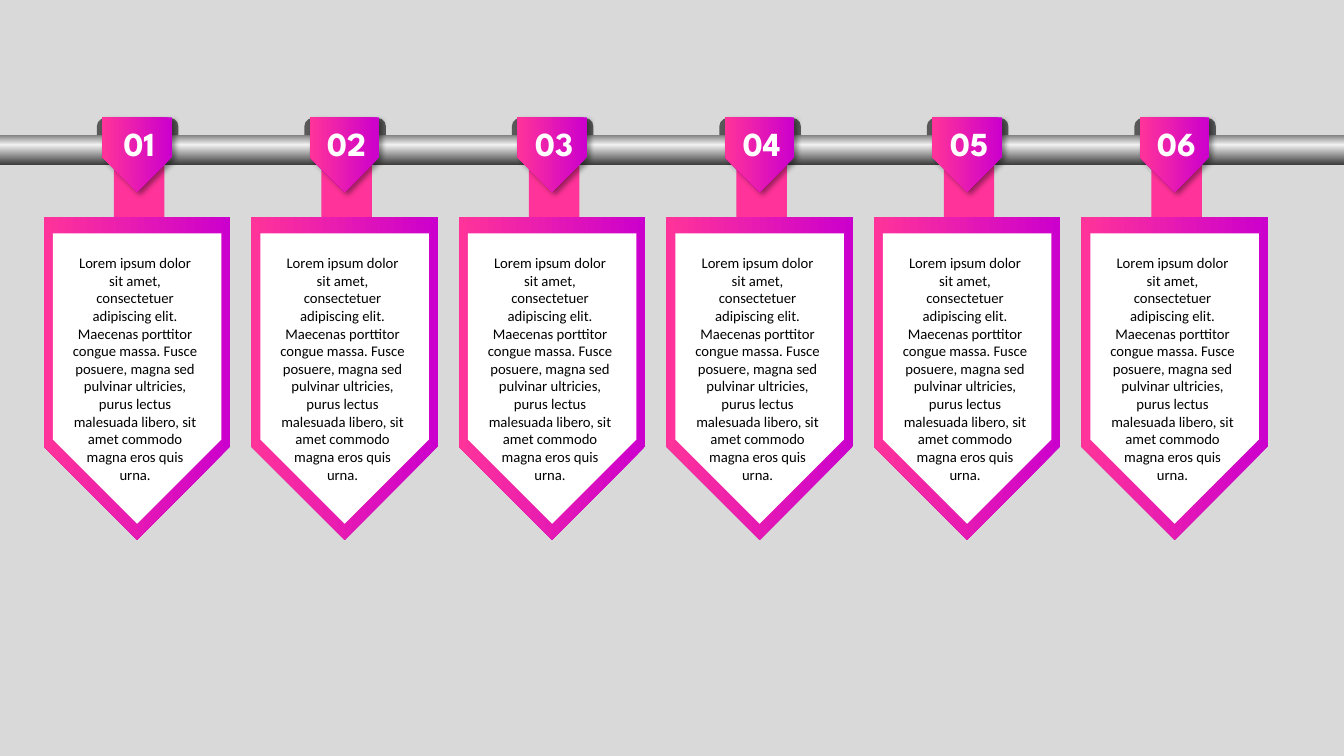
"""Build a slide of six numbered banners hanging from a metal rail."""
from dataclasses import dataclass
from typing import Any

from lxml import etree
from pptx import Presentation
from pptx import util as u
from pptx.dml.color import RGBColor
from pptx.enum import shapes, text
from pptx.oxml import ns

BACKDROP = RGBColor(0xD9, 0xD9, 0xD9)
CLIP_GREY = RGBColor(0x59, 0x59, 0x59)
PINK = RGBColor(0xFF, 0x33, 0x99)
PURPLE = RGBColor(0xCC, 0x00, 0xCC)
WHITE = RGBColor(0xFF, 0xFF, 0xFF)
BLACK = RGBColor(0x00, 0x00, 0x00)
RAIL_TOP = RGBColor(0x80, 0x80, 0x80)
RAIL_SHINE = RGBColor(0xF2, 0xF2, 0xF2)
RAIL_BOTTOM = RGBColor(0x40, 0x40, 0x40)

Stops = tuple[tuple[int, RGBColor], ...]
RAIL_STOPS: Stops = ((0, RAIL_TOP), (33, RAIL_SHINE), (100, RAIL_BOTTOM))
BANNER_STOPS: Stops = ((0, PURPLE), (100, PINK))

BANNER_COUNT = 6
PITCH = 10.29 / 5
BODY_COPY = (
    "Lorem ipsum dolor sit amet, consectetuer adipiscing elit. "
    "Maecenas porttitor congue massa. Fusce posuere, magna sed pulvinar "
    "ultricies, purus lectus malesuada libero, sit amet commodo magna eros "
    "quis urna."
)


@dataclass(frozen=True)
class Part:
    """A filled outline placed relative to the first banner."""
    kind: shapes.MSO_SHAPE
    left: float
    top: float
    width: float
    height: float
    fill: RGBColor | Stops
    rotation: int = 0
    rounding: float | None = None
    shadowed: bool = False


@dataclass(frozen=True)
class Label:
    """A centred text area placed relative to the first banner."""
    left: float
    top: float
    width: float
    height: float
    color: RGBColor
    font: dict[str, Any]


SHAPE = shapes.MSO_SHAPE
RAIL = Part(SHAPE.RECTANGLE, 0, 1.34, 13.33, 0.29, RAIL_STOPS)
BANNER_PARTS = (
    Part(SHAPE.ROUND_2_SAME_RECTANGLE, 0.96, 1.17, 0.31, 0.17, CLIP_GREY, rounding=0.5),
    Part(SHAPE.ROUND_2_SAME_RECTANGLE, 1.46, 1.17, 0.31, 0.17, CLIP_GREY, rounding=0.5),
    Part(SHAPE.RECTANGLE, 1.13, 1.61, 0.5, 0.69, PINK),
    Part(SHAPE.PENTAGON, -0.24, 2.83, 3.2, 1.85, BANNER_STOPS, rotation=90),
    Part(SHAPE.PENTAGON, -0.08, 2.92, 2.88, 1.67, WHITE, rotation=90),
    Part(SHAPE.PENTAGON, 0.99, 1.19, 0.74, 0.69, BANNER_STOPS, rotation=90, shadowed=True),
)
NUMBER = Label(0.98, 1.17, 0.8, 0.5, WHITE,
               {"name": "League Spartan", "size": u.Pt(24), "bold": True})
BODY = Label(0.62, 2.47, 1.44, 2.57, BLACK,
             {"name": "Calibri", "size": u.Pt(10.5)})
FRAME_FORMAT = {"word_wrap": True, "auto_size": text.MSO_AUTO_SIZE.SHAPE_TO_FIT_TEXT}


def add_color(parent: Any, color: RGBColor) -> Any:
    """Append an RGB colour element."""
    return etree.SubElement(parent, ns.qn("a:srgbClr"), val=str(color))


def fill_gradient(shape: Any, stops: Stops) -> None:
    """Fill a shape with stops running from its top to its bottom."""
    shape.fill.gradient()
    shape.fill.gradient_angle = 270
    stop_list = shape.element.spPr.find(ns.qn("a:gradFill")).find(ns.qn("a:gsLst"))
    for old_stop in list(stop_list):
        stop_list.remove(old_stop)
    for percent, color in stops:
        stop = etree.SubElement(stop_list, ns.qn("a:gs"), pos=str(percent * 1000))
        add_color(stop, color)


def add_shadow(shape: Any) -> None:
    """Give a shape a soft shadow down to the right."""
    effects = shape.element.spPr.find(ns.qn("a:effectLst"))
    shadow = etree.SubElement(
        effects, ns.qn("a:outerShdw"), blurRad=str(u.Pt(4)), dist=str(u.Pt(3)),
        dir="2700000", algn="tl", rotWithShape="0")
    etree.SubElement(add_color(shadow, BLACK), ns.qn("a:alpha"), val="40000")


def draw_part(canvas: Any, part: Part, shift: float = 0) -> None:
    """Draw one part, moved right by the shift."""
    shape = canvas.add_shape(
        part.kind, u.Inches(part.left + shift), u.Inches(part.top),
        u.Inches(part.width), u.Inches(part.height))
    shape.rotation = part.rotation
    shape.shadow.inherit = False
    shape.line.fill.background()
    if part.rounding is not None:
        shape.adjustments[0] = part.rounding
    if isinstance(part.fill, RGBColor):
        shape.fill.solid()
        shape.fill.fore_color.rgb = part.fill
    else:
        fill_gradient(shape, part.fill)
    if part.shadowed:
        add_shadow(shape)


def draw_label(canvas: Any, label: Label, wording: str, shift: float) -> None:
    """Draw one centred label, moved right by the shift."""
    frame = canvas.add_textbox(
        u.Inches(label.left + shift), u.Inches(label.top),
        u.Inches(label.width), u.Inches(label.height)).text_frame
    for key, value in FRAME_FORMAT.items():
        setattr(frame, key, value)
    paragraph = frame.paragraphs[0]
    paragraph.alignment = text.PP_ALIGN.CENTER
    run = paragraph.add_run()
    run.text = wording
    for key, value in label.font.items():
        setattr(run.font, key, value)
    run.font.color.rgb = label.color


def draw_banner(slide: Any, index: int) -> None:
    """Draw one hanging banner as a group."""
    banner = slide.shapes.add_group_shape().shapes
    shift = index * PITCH
    for part in BANNER_PARTS:
        draw_part(banner, part, shift)
    draw_label(banner, NUMBER, f"{index + 1:02}", shift)
    draw_label(banner, BODY, BODY_COPY, shift)


def main() -> None:
    """Build and save the presentation."""
    deck = Presentation()
    deck.slide_width, deck.slide_height = u.Inches(13.33), u.Inches(7.5)
    slide = deck.slides.add_slide(deck.slide_layouts[6])
    slide.background.fill.solid()
    slide.background.fill.fore_color.rgb = BACKDROP
    draw_part(slide.shapes, RAIL)
    for index in range(BANNER_COUNT):
        draw_banner(slide, index)
    deck.save("out.pptx")


if __name__ == "__main__":
    main()
